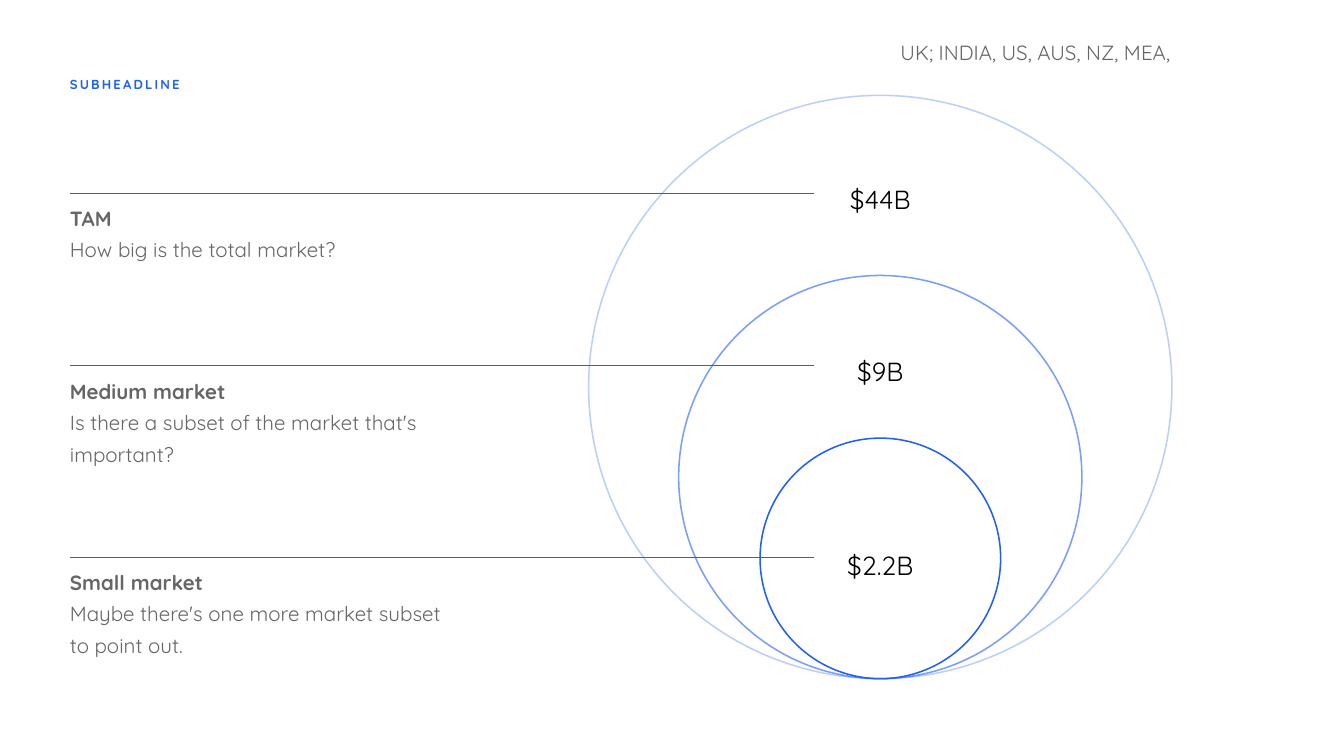
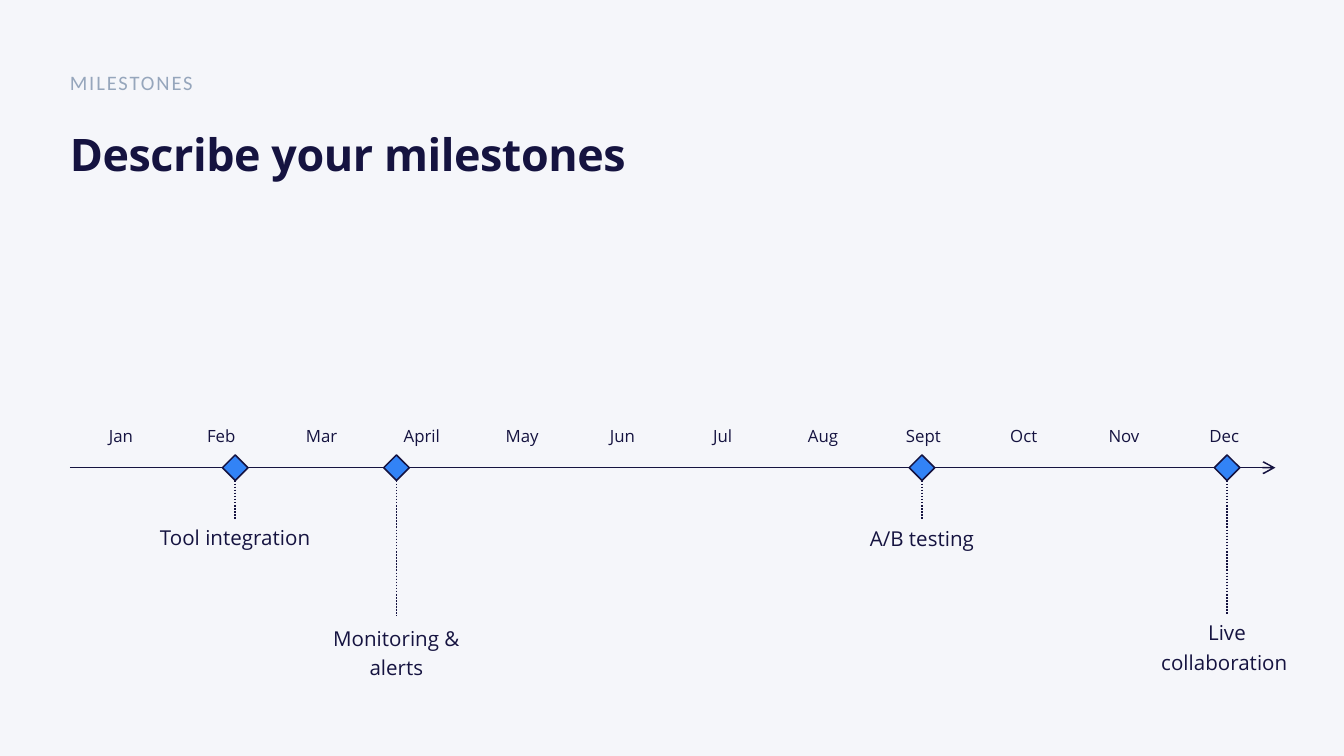
from dataclasses import dataclass

from lxml.etree import SubElement
from pptx import Presentation
from pptx.dml.color import RGBColor
from pptx.enum.dml import MSO_LINE_DASH_STYLE as Dash
from pptx.enum.shapes import MSO_CONNECTOR as Connector, MSO_SHAPE as Preset
from pptx.enum.text import MSO_ANCHOR as Anchor, PP_ALIGN as Align
from pptx.oxml.ns import qn
from pptx.util import Inches, Pt


@dataclass(frozen=True)
class Theme:
    white: str = "FFFFFF"
    pale: str = "F5F6FA"
    black: str = "000000"
    grey: str = "666666"
    blue: str = "205FF8"
    navy: str = "151340"
    marker: str = "3283F6"
    slate: str = "96A6BC"
    market_font: str = "Quicksand"
    roadmap_font: str = "Open Sans"
    eyebrow_font: str = "Calibri"
    tiny: float = 7
    month: float = 9
    body: float = 11
    value: float = 14
    title: float = 24
    thin: float = 0.42
    outline: float = 0.83


THEME = Theme()
MARGIN = 0.52

CIRCLE_CENTER, CIRCLE_BOTTOM = 6.55, 5.05
# diameter, opacity in percent, rule height, value top, value, value width,
# text top, text height, text
MARKETS = [
    (4.34, 30, 1.44, 1.27, "$44B", 0.52, 1.48, 0.47,
     "TAM\nHow big is the total market?"),
    (3.00, 60, 2.72, 2.55, "$9B", 0.40, 2.77, 0.70,
     "Medium market\nIs there a subset of the market that's important?"),
    (1.79, 100, 4.15, 3.99, "$2.2B", 0.59, 4.19, 0.70,
     "Small market\nMaybe there's one more market subset to point out."),
]

MONTHS = ["Jan", "Feb", "Mar", "April", "May", "Jun",
          "Jul", "Aug", "Sept", "Oct", "Nov", "Dec"]
AXIS_Y, AXIS_END, MONTH_WIDTH = 3.48, 9.49, 0.76
MARKER_SIZE = 0.19
# center, stem end, label top, label width, label height, label
MILESTONES = [
    (1.75, 3.86, 3.87, 1.37, 0.22, "Tool integration"),
    (2.95, 4.58, 4.62, 1.33, 0.44, "Monitoring & alerts"),
    (6.86, 3.87, 3.88, 1.19, 0.22, "A/B testing"),
    (9.13, 4.57, 4.58, 1.17, 0.44, "Live collaboration "),
]


def rgb(color):
    return RGBColor.from_string(color)


def add_page(deck, background):
    page = deck.slides.add_slide(deck.slide_layouts[6])
    page.background.fill.solid()
    page.background.fill.fore_color.rgb = rgb(background)
    return page


def add_text(page, text, left, top, width, height, *, font, size, color,
             bold=False, bold_first=False, align=Align.LEFT, anchor=Anchor.TOP,
             leading=None, tracking=None, wrap=True):
    """Each line of text becomes a paragraph; leading and tracking are in points."""
    box = page.shapes.add_textbox(*map(Inches, (left, top, width, height)))
    frame = box.text_frame
    frame.margin_left = frame.margin_top = frame.margin_right = frame.margin_bottom = 0
    frame.word_wrap = wrap
    frame.vertical_anchor = anchor
    for index, line in enumerate(text.split("\n")):
        paragraph = frame.add_paragraph() if index else frame.paragraphs[0]
        paragraph.alignment = align
        if leading:
            paragraph.line_spacing = Pt(leading)
        run = paragraph.add_run()
        run.text = line
        run.font.name = font
        run.font.size = Pt(size)
        run.font.color.rgb = rgb(color)
        run.font.bold = bold or (bold_first and index == 0)
        if tracking:
            run.font._element.set("spc", str(round(tracking * 100)))


def set_line(item, color, weight, opacity=100):
    item.line.color.rgb = rgb(color)
    item.line.width = Pt(weight)
    if opacity < 100:
        tint = item.line._ln.find(".//" + qn("a:srgbClr"))
        SubElement(tint, qn("a:alpha"), val=str(opacity * 1000))


def add_outline(page, preset, left, top, size, color, opacity=100, fill=None):
    figure = page.shapes.add_shape(preset, *map(Inches, (left, top, size, size)))
    figure.shadow.inherit = False
    if fill:
        figure.fill.solid()
        figure.fill.fore_color.rgb = rgb(fill)
    else:
        figure.fill.background()
    set_line(figure, color, THEME.outline, opacity)
    return figure


def add_rule(page, start, end, color, weight, arrow=False, dash=None):
    rule = page.shapes.add_connector(Connector.STRAIGHT, *map(Inches, (*start, *end)))
    set_line(rule, color, weight)
    if dash:
        rule.line.dash_style = dash
    if arrow:
        SubElement(rule.line._ln, qn("a:tailEnd"), type="arrow")
    SubElement(rule._element.spPr, qn("a:effectLst"))
    return rule


def add_market(page, diameter, opacity, rule_y, value_top, value, value_width,
               text_top, text_height, text):
    add_outline(page, Preset.OVAL, CIRCLE_CENTER - diameter / 2,
                CIRCLE_BOTTOM - diameter, diameter, THEME.blue, opacity)
    add_text(page, value, CIRCLE_CENTER - value_width / 2, value_top,
             value_width, 0.33, font=THEME.market_font, size=THEME.value,
             color=THEME.black, align=Align.CENTER, anchor=Anchor.MIDDLE,
             leading=23.6, wrap=False)
    add_text(page, text, MARGIN, text_top, 2.79, text_height,
             font=THEME.market_font, size=THEME.body, color=THEME.grey,
             bold_first=True, leading=16.8)
    add_rule(page, (MARGIN, rule_y), (6.06, rule_y), THEME.blue, THEME.thin)


def add_month_axis(page):
    step = (AXIS_END - MARGIN - MONTH_WIDTH) / (len(MONTHS) - 1)
    for index, month in enumerate(MONTHS):
        left = MARGIN + index * step
        add_rule(page, (left, AXIS_Y), (left + MONTH_WIDTH, AXIS_Y), THEME.navy,
                 THEME.outline, arrow=month == MONTHS[-1])
        add_text(page, month, left, 3.13, MONTH_WIDTH, 0.19,
                 font=THEME.roadmap_font, size=THEME.month, color=THEME.navy,
                 align=Align.CENTER, leading=13.5)


def add_milestone(page, center, stem_end, label_top, width, height, label):
    marker = add_outline(page, Preset.DIAMOND, center - MARKER_SIZE / 2,
                         AXIS_Y - MARKER_SIZE / 2, MARKER_SIZE, THEME.navy,
                         fill=THEME.marker)
    stem = add_rule(page, (center, AXIS_Y + MARKER_SIZE / 2), (center, stem_end),
                    THEME.navy, THEME.outline, dash=Dash.ROUND_DOT)
    stem.begin_connect(marker, 2)
    add_text(page, label, center - width / 2, label_top, width, height,
             font=THEME.roadmap_font, size=THEME.body, color=THEME.navy,
             align=Align.CENTER, leading=15.8)


def build_market_size(deck):
    page = add_page(deck, THEME.white)
    for market in MARKETS:
        add_market(page, *market)
    add_text(page, "SUBHEADLINE", MARGIN, 0.52, 3.56, 0.16,
             font=THEME.market_font, size=THEME.tiny, color=THEME.blue,
             bold=True, leading=11.8, tracking=1.2)
    add_text(page, "UK; INDIA, US, AUS, NZ, MEA,", 6.7, 0.25, 2.79, 0.23,
             font=THEME.market_font, size=THEME.body, color=THEME.grey,
             leading=16.8)


def build_milestones(deck):
    page = add_page(deck, THEME.pale)
    add_month_axis(page)
    for milestone in MILESTONES:
        add_milestone(page, *milestone)
    add_text(page, "MILESTONES", MARGIN, 0.52, 8.96, 0.17,
             font=THEME.eyebrow_font, size=THEME.body, color=THEME.slate, tracking=1)
    add_text(page, "Describe your milestones", MARGIN, 0.89, 8.96, 0.45,
             font=THEME.roadmap_font, size=THEME.title, color=THEME.navy,
             bold=True, leading=32.4, tracking=-0.24)


def main():
    deck = Presentation()
    deck.slide_width = Inches(10)
    deck.slide_height = deck.slide_width * 9 // 16
    build_market_size(deck)
    build_milestones(deck)
    deck.save("out.pptx")


if __name__ == "__main__":
    main()
